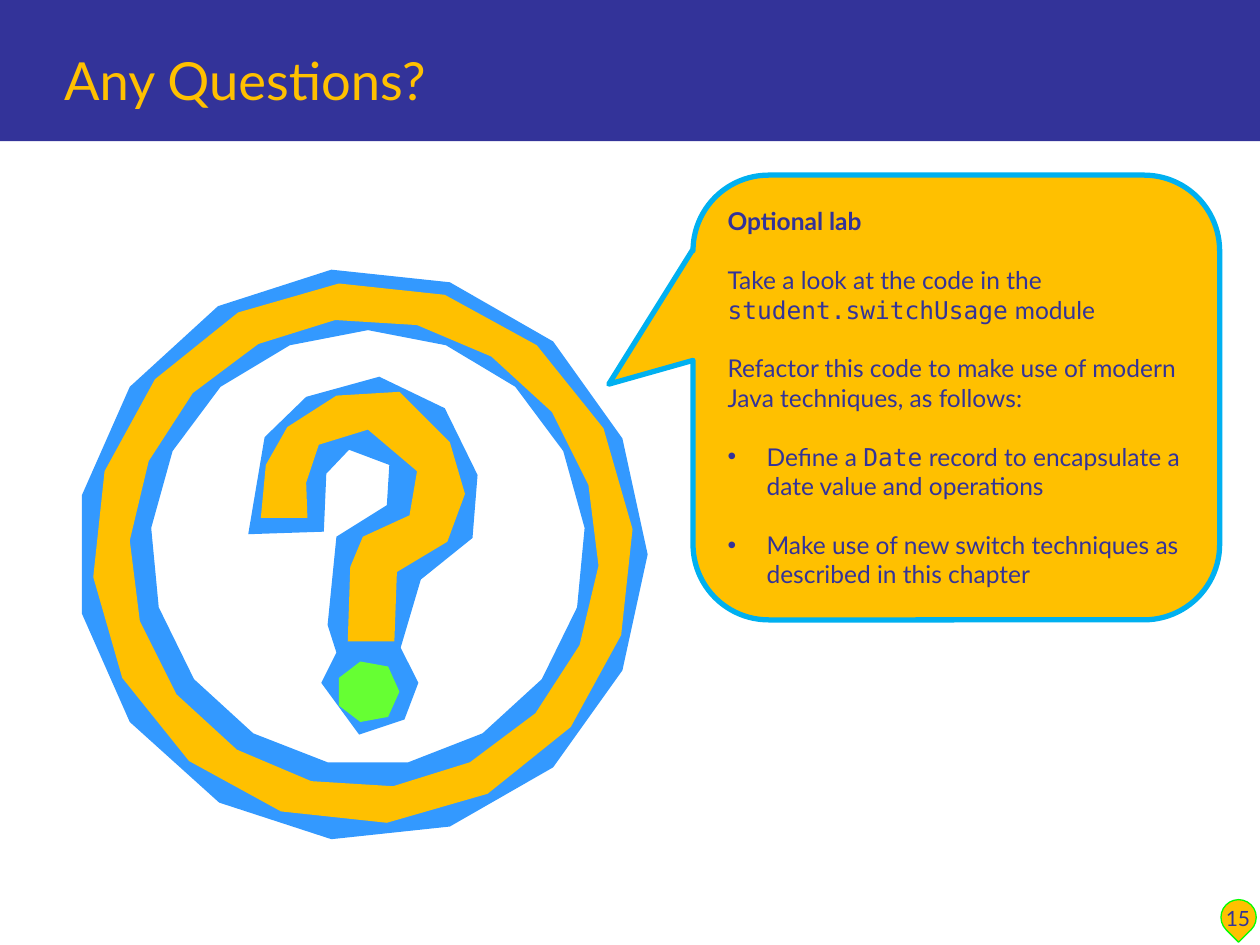
import math
import pptx
import pptx.util
import pptx.dml.color
import pptx.enum.shapes
import pptx.enum.text
import pptx.oxml.ns
import lxml.etree

Inches = pptx.util.Inches
Pt = pptx.util.Pt
SHAPE = pptx.enum.shapes.MSO_SHAPE
ALIGN = pptx.enum.text.PP_ALIGN
ANCHOR = pptx.enum.text.MSO_ANCHOR

COLORS = {"navy": "333399", "gold": "FFC000", "blue": "3399FF", "green": "66FF33",
          "cyan": "00B0F0", "lime": "00FF00"}
BODY_FONT = "Lato"
CODE_FONT = "DejaVu Sans Mono"

MARK_EDGE = [(197, 157), (215, 138), (247, 150), (245, 182), (205, 207), (198, 277),
             (205, 299), (193, 323), (223, 364), (259, 352), (270, 323), (256, 295),
             (272, 241), (313, 208), (317, 158), (291, 105), (239, 80), (181, 96),
             (148, 128), (135, 205), (195, 203)]
MARK_FACE = [(145, 192), (182, 192), (181, 164), (191, 134), (230, 122), (269, 155),
             (263, 190), (226, 207), (216, 231), (214, 290), (251, 290), (253, 235),
             (293, 211), (307, 173), (295, 132), (255, 92), (205, 95), (166, 120),
             (149, 150)]

LAB_PARAGRAPHS = [
    (False, [("Optional lab", BODY_FONT)]),
    (False, [("Take a look at the code in the ", BODY_FONT),
             ("student.switchUsage", CODE_FONT), (" module", BODY_FONT)]),
    (False, [("Refactor this code to make use of modern Java techniques, as follows:",
              BODY_FONT)]),
    (True, [("Define a ", BODY_FONT), ("Date", CODE_FONT),
            (" record to encapsulate a date value and operations", BODY_FONT)]),
    (True, [("Make use of new switch techniques as described in this chapter",
             BODY_FONT)]),
]


def rgb(name):
    """Return the palette colour of that name."""
    return pptx.dml.color.RGBColor.from_string(COLORS[name])


def style_run(run, size, color, font=BODY_FONT, bold=False):
    """Set the font of one run."""
    run.font.name = font
    run.font.size = Pt(size)
    run.font.bold = bold
    run.font.color.rgb = rgb(color)


def paint(shape, fill, line=None, width=0):
    """Give a shape a flat fill and an optional outline."""
    shape.shadow.inherit = False
    shape.fill.solid()
    shape.fill.fore_color.rgb = rgb(fill)
    if line:
        shape.line.color.rgb = rgb(line)
        shape.line.width = Pt(width)
    else:
        shape.line.fill.background()


def add_header(slide, left, top, width, height):
    """Draw the banner with the slide title on it."""
    banner = slide.shapes.add_shape(SHAPE.RECTANGLE, left, top, width, height)
    paint(banner, "navy")
    title = slide.shapes.title
    banner._element.addnext(title._element)
    title.left, title.top = left + Inches(0.41), top + Inches(0.17)
    title.width, title.height = Inches(9.35), Inches(0.76)
    title.text_frame.text = "Any Questions?"
    title.text_frame.vertical_anchor = ANCHOR.BOTTOM
    heading = title.text_frame.paragraphs[0]
    heading.alignment = ALIGN.LEFT
    style_run(heading.runs[0], 30, "gold")


def add_page_badge(slide, left, top, width, height):
    """Draw the page number over its teardrop marker."""
    drop = slide.shapes.add_shape(SHAPE.TEAR, left + Inches(0.15), top + Inches(0.2),
                                  Inches(0.28), Inches(0.28))
    drop.rotation = 135
    paint(drop, "gold", "lime", 0.75)
    number = slide.shapes.add_textbox(left, top, width, height).text_frame
    number.word_wrap = True
    number.vertical_anchor = ANCHOR.BOTTOM
    number.text = "15"
    number.paragraphs[0].alignment = ALIGN.CENTER
    style_run(number.paragraphs[0].runs[0], 12, "navy")


def polygon(center_x, center_y, radius, sides, start):
    """Return the corners of a regular polygon, from a start angle in degrees."""
    angles = [math.radians(start + 360 * side / sides) for side in range(sides)]
    return [(round(center_x + radius * math.cos(angle)),
             round(center_y + radius * math.sin(angle))) for angle in angles]


def add_question_icon(slide, left, top):
    """Draw the ringed question mark as a group of outlines."""
    icon = slide.shapes.add_group_shape()
    layers = [
        ("blue", [MARK_EDGE]),
        ("gold", [MARK_FACE]),
        ("green", [polygon(230, 330, 25, 7, 0)]),
        ("blue", [polygon(225, 221, 227, 15, 0), polygon(230, 216, 173, 17, -90)]),
        ("gold", [polygon(226, 220, 215, 16, -5), polygon(227, 220, 186, 18, 3)]),
    ]
    for color, contours in layers:
        outline = icon.shapes.build_freeform(*contours[0][0], scale=Inches(0.01))
        outline.add_line_segments(contours[0][1:], close=True)
        for hole in contours[1:]:
            outline.move_to(*hole[0])
            outline.add_line_segments(hole[1:], close=True)
        paint(outline.convert_to_shape(left, top), color)


def add_bullet(paragraph):
    """Give a paragraph a hanging round bullet."""
    properties = paragraph._p.get_or_add_pPr()
    properties.set("marL", str(Inches(0.31)))
    properties.set("indent", str(-Inches(0.31)))
    for tag, key, value in (("a:buFont", "typeface", "Arial"), ("a:buChar", "char", "•")):
        lxml.etree.SubElement(properties, pptx.oxml.ns.qn(tag)).set(key, value)


def add_lab_callout(slide, left, top, width, height):
    """Draw the speech bubble with the lab instructions."""
    bubble = slide.shapes.add_shape(SHAPE.ROUNDED_RECTANGULAR_CALLOUT,
                                    left, top, width, height)
    for index, value in enumerate((-0.66, -0.03, 0.17)):
        bubble.adjustments[index] = value
    paint(bubble, "gold", "cyan", 3)
    frame = bubble.text_frame
    frame.word_wrap = True
    frame.vertical_anchor = ANCHOR.MIDDLE
    for index, (bulleted, pieces) in enumerate(LAB_PARAGRAPHS):
        paragraph = frame.add_paragraph() if index else frame.paragraphs[0]
        paragraph.alignment = ALIGN.LEFT
        paragraph.space_before = Pt(16.8 if index else 0)
        if bulleted:
            add_bullet(paragraph)
        for text, font in pieces:
            run = paragraph.add_run()
            run.text = text
            style_run(run, 14, "navy", font, bold=index == 0)


def main():
    """Build the closing questions slide."""
    deck = pptx.Presentation()
    deck.slide_width, deck.slide_height = Inches(10), Inches(7.5)
    slide = deck.slides.add_slide(deck.slide_layouts[5])
    add_header(slide, 0, 0, deck.slide_width, Inches(1.12))
    add_page_badge(slide, Inches(9.54), Inches(6.94), Inches(0.57), Inches(0.5))
    add_question_icon(slide, Inches(0.62), Inches(2.19))
    add_lab_callout(slide, Inches(5.5), Inches(1.39), Inches(4.18), Inches(3.53))
    deck.save("out.pptx")


if __name__ == "__main__":
    main()
